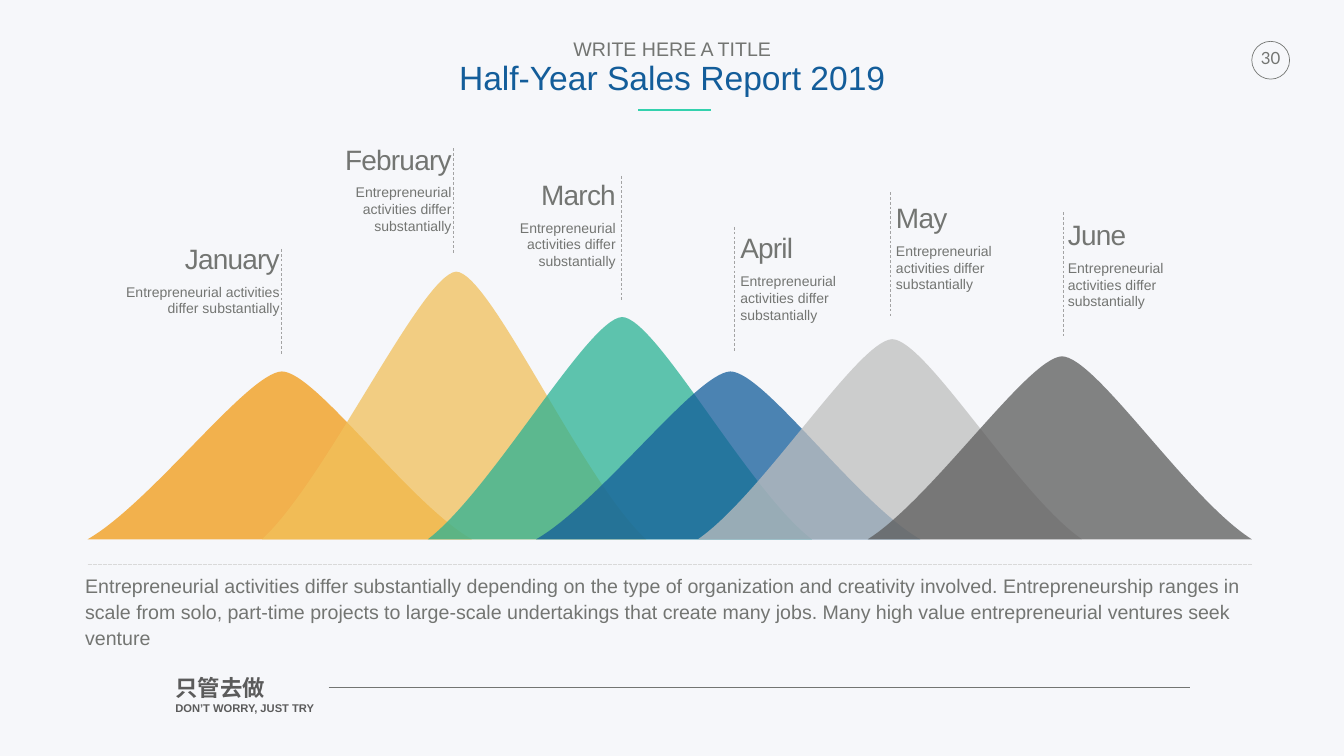
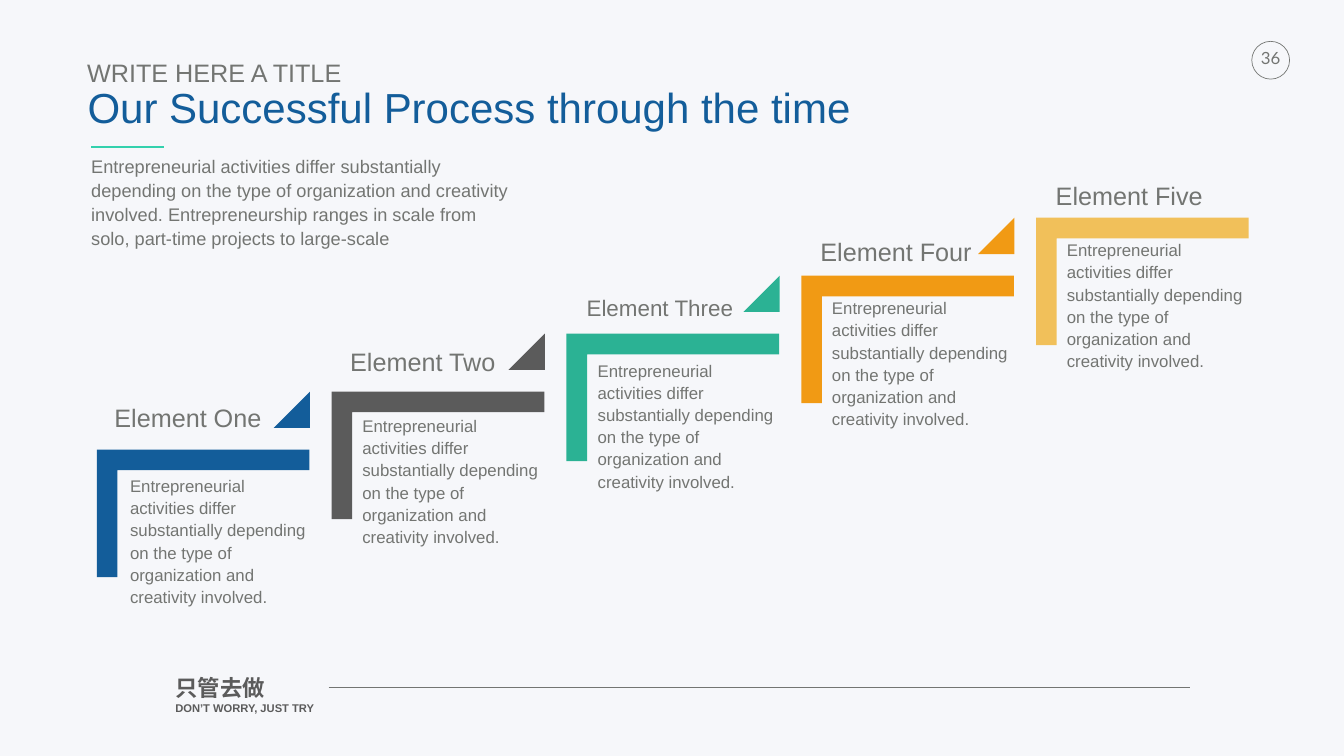
from pptx import Presentation
from pptx import util as u
from pptx.dml.color import RGBColor
from pptx.enum import dml, shapes, text
from pptx.oxml import ns, xmlchemy

PAPER = RGBColor(0xF6, 0xF7, 0xFA)
GRAY = RGBColor(0x73, 0x75, 0x72)
DARK = RGBColor(0x5B, 0x5B, 0x5B)
BLUE = RGBColor(0x13, 0x5D, 0x9A)
MINT = RGBColor(0x33, 0xD1, 0xAD)
GREEN = RGBColor(0x2B, 0xB2, 0x94)
AMBER = RGBColor(0xF1, 0x9A, 0x14)
SAND = RGBColor(0xF1, 0xC0, 0x5A)
SILVER = RGBColor(0xBF, 0xBF, 0xBF)
DASH = RGBColor(0xA3, 0xA3, 0xA3)
RULE = RGBColor(0xD9, 0xD9, 0xD9)

LEFT, MID, RIGHT = text.PP_ALIGN.LEFT, text.PP_ALIGN.CENTER, text.PP_ALIGN.RIGHT
TOP, CENTER = text.MSO_ANCHOR.TOP, text.MSO_ANCHOR.MIDDLE

BASE = 10.7
HILL_W = 7.62
HILLS = [
    (1.74, 7.37, AMBER), (5.2, 5.39, SAND), (8.49, 6.29, GREEN),
    (10.64, 7.37, BLUE), (13.85, 6.73, SILVER), (17.22, 7.07, DARK),
]
MONTHS = [
    ("January", (2.29, 4.66, 3.39, 1.77), RIGHT, (5.59, 4.94, 7.04)),
    ("February", (6.2, 2.69, 2.89, 2.1), RIGHT, (9, 2.94, 5.05)),
    ("March", (9.42, 3.39, 2.93, 2.1), RIGHT, (12.33, 3.49, 5.99)),
    ("April", (14.56, 4.45, 2.89, 2.1), LEFT, (14.57, 4.5, 7)),
    ("May", (17.65, 3.85, 2.89, 2.1), LEFT, (17.66, 3.81, 6.3)),
    ("June", (21.06, 4.19, 2.89, 2.1), LEFT, (21.1, 4.21, 6.71)),
]
STEPS = [
    ("Element One", 36, BLUE, (0.3, -0.99, 3.03, 0.7), (0.66, 0.49)),
    ("Element Two", 36, DARK, (0.32, -0.94, 3, 0.7), (0.61, 0.45)),
    ("Element Three", 32, GREEN, (0.35, -0.84, 3.02, 0.63), (0.62, 0.5)),
    ("Element Four", 36, AMBER, (0.33, -0.84, 3.12, 0.7), (0.61, 0.41)),
    ("Element Five", 36, SAND, (0.34, -0.8, 3.03, 0.7), (0.61, 0.41)),
]
SHORT = "Entrepreneurial activities differ substantially"
STEP_TEXT = SHORT + " depending on the type of organization and creativity involved."
INTRO = STEP_TEXT + " Entrepreneurship ranges in scale from solo, part-time projects to large-scale"
SUMMARY = INTRO + " undertakings that create many jobs. Many high value entrepreneurial ventures seek venture"


def place(shape, box):
    """Move a shape to a box given in inches."""
    shape.left, shape.top, shape.width, shape.height = map(u.Inches, box)
    return shape


def frame(shape, inset=0.05, wrap=True, anchor=TOP):
    """Set the margins, wrapping and anchor of a shape's text."""
    body = shape.text_frame
    body.margin_left = body.margin_right = u.Inches(inset)
    body.margin_top = body.margin_bottom = u.Inches(inset)
    body.word_wrap = wrap
    body.auto_size = text.MSO_AUTO_SIZE.SHAPE_TO_FIT_TEXT
    body.vertical_anchor = anchor
    return body


def write(body, index, words, size, color=GRAY, align=LEFT, lead=1, font="Arial", bold=False):
    """Write one run as the paragraph at an index and return the paragraph."""
    para = body.add_paragraph() if index else body.paragraphs[0]
    para.alignment = align
    para.line_spacing = lead
    para.space_before = u.Pt(0)
    run = para.add_run()
    run.text = words
    run.font.size = u.Pt(size)
    run.font.name = font
    run.font.bold = bold
    run.font.color.rgb = color
    return para


def label(slide, box, **style):
    """Add a text box and return its text frame."""
    return frame(slide.shapes.add_textbox(*map(u.Inches, box)), **style)


def rule(slide, start, end, color, width, dash=False):
    """Draw a straight line without a shadow."""
    line = slide.shapes.add_connector(
        shapes.MSO_CONNECTOR.STRAIGHT, *map(u.Inches, start + end))
    line.line.color.rgb = color
    line.line.width = u.Pt(width)
    if dash:
        line.line.dash_style = dml.MSO_LINE.DASH
    line.element.spPr.append(xmlchemy.OxmlElement("a:effectLst"))


def outline(slide, points, color):
    """Fill a closed outline through points in inches."""
    dots = [(u.Inches(x), u.Inches(y)) for x, y in points]
    pen = slide.shapes.build_freeform(*dots[0])
    pen.add_line_segments(dots[1:], close=True)
    shape = pen.convert_to_shape()
    shape.shadow.inherit = False
    shape.fill.solid()
    shape.fill.fore_color.rgb = color
    shape.line.fill.background()
    return shape


def curve(shape):
    """Turn each three line segments of an outline into one Bezier curve."""
    parts = list(shape.element.iter(ns.qn("a:lnTo")))
    for first, second, third in zip(parts[::3], parts[1::3], parts[2::3]):
        first.tag = ns.qn("a:cubicBezTo")
        for part in (second, third):
            first.append(part[0])
            part.getparent().remove(part)


def fade(shape, percent):
    """Set the opacity of a solid fill."""
    alpha = xmlchemy.OxmlElement("a:alpha")
    alpha.set("val", str(percent * 1000))
    shape.element.spPr.find(ns.qn("a:solidFill"))[0].append(alpha)


def head(slide, box, words, sizes, aligns, accent):
    """Fill the title placeholder and draw its accent line."""
    body = frame(place(slide.shapes.title, box), wrap=False)
    lines = zip(("WRITE HERE A TITLE", words), sizes, (GRAY, BLUE), aligns)
    for index, (line, size, color, align) in enumerate(lines):
        write(body, index, line, size, color, align, 0.9)
    x, y = accent
    rule(slide, (x, y), (x + 1.44, y), MINT, 3)


def prose(slide, box, words, size):
    """Fill the body placeholder with one plain paragraph."""
    body = frame(place(slide.placeholders[1], box), 0, anchor=CENTER)
    props = write(body, 0, words, size, lead=1.1)._p.get_or_add_pPr()
    props.set("marL", "0")
    props.set("indent", "0")
    props.append(xmlchemy.OxmlElement("a:buNone"))


def base(deck, number):
    """Add a slide with the page badge and the footer."""
    slide = deck.slides.add_slide(deck.slide_layouts[1])
    badge = slide.shapes.add_shape(
        shapes.MSO_SHAPE.OVAL, *map(u.Inches, (24.84, 0.82, 0.75, 0.75)))
    badge.shadow.inherit = False
    badge.fill.background()
    badge.line.color.rgb = GRAY
    badge.line.width = u.Pt(1)
    page = label(slide, (24.84, 0.9, 0.75, 0.6), wrap=False)
    write(page, 0, number, 24, align=MID, font="Lato")
    motto = label(slide, (3.43, 13.33, 3.99, 0.99))
    write(motto, 0, "只管去做", 32, DARK, bold=True)
    write(motto, 1, "DON’T WORRY, JUST TRY", 16, DARK, bold=True)
    rule(slide, (6.52, 13.64), (23.62, 13.64), GRAY, 0.25)
    return slide


def hill(slide, x, top, color):
    """Draw one translucent hill that stands on the base line."""
    tall = BASE - top
    spots = [(0, 0), (1.27, 0.22), (3.17, 0.99), (3.85, 1),
             (4.52, 1), (6.35, 0.22), (HILL_W, 0)]
    shape = outline(slide, [(x + dx, BASE - tall * part) for dx, part in spots], color)
    curve(shape)
    fade(shape, 75)


def month(slide, name, box, align, mark):
    """Add one month's note and its dashed marker."""
    body = label(slide, box, inset=0.13)
    para = write(body, 0, name, 40, align=align)
    para.space_after = u.Pt(11.5)
    para.runs[0].font._element.set("spc", "-110")
    write(body, 1, SHORT, 20, align=align)
    x, top, low = mark
    rule(slide, (x, top), (x, low), DASH, 1, True)


def sales(deck):
    """Build the half-year sales slide."""
    slide = base(deck, "30")
    head(slide, (9.05, 0.74, 8.58, 1.33), "Half-Year Sales Report 2019",
         (28, 48), (MID, MID), (12.67, 2.18))
    for item in HILLS:
        hill(slide, *item)
    for item in MONTHS:
        month(slide, *item)
    rule(slide, (1.74, 11.2), (24.84, 11.2), RULE, 0.25, True)
    prose(slide, (1.69, 11.36, 23.37, 1.51), SUMMARY, 28)


def step(slide, x, y, name, size, color, tag, note):
    """Draw one stair bracket with its label and note."""
    wide, tall, bar = 4.22, 2.53, 0.41
    corner = [(0, 0), (wide, 0), (wide, bar), (bar, bar), (bar, tall), (0, tall)]
    outline(slide, [(x + dx, y + dy) for dx, dy in corner], color)
    dx, dy, width, height = tag
    write(label(slide, (x + dx, y + dy, width, height), wrap=False), 0, name, size)
    dx, dy = note
    body = label(slide, (x + dx, y + dy, 3.58, 2.62), inset=0, anchor=CENTER)
    write(body, 0, STEP_TEXT, 24, lead=1.1)


def climb(slide, x, y, color):
    """Draw the triangle that points up to the next step."""
    side = 0.72
    outline(slide, [(x, y + side), (x + side, y), (x + side, y + side)], color)


def process(deck):
    """Build the stair process slide."""
    slide = base(deck, "36")
    head(slide, (1.68, 1.15, 15.26, 1.64), "Our Successful Process through the time",
         (36, 60), (LEFT, MID), (1.81, 2.92))
    prose(slide, (1.81, 3.06, 8.51, 1.85), INTRO, 26)
    for index, item in enumerate(STEPS):
        x, y = 1.92 + 4.66 * index, 8.92 - 1.15 * index
        step(slide, x, y, *item)
        if index < len(STEPS) - 1:
            climb(slide, x + 3.51, y - 1.15, item[2])


def main():
    """Build and save the deck."""
    deck = Presentation()
    deck.slide_width, deck.slide_height = u.Inches(26.67), u.Inches(15)
    fill = deck.slide_master.background.fill
    fill.solid()
    fill.fore_color.rgb = PAPER
    sales(deck)
    process(deck)
    deck.save("out.pptx")


if __name__ == "__main__":
    main()
